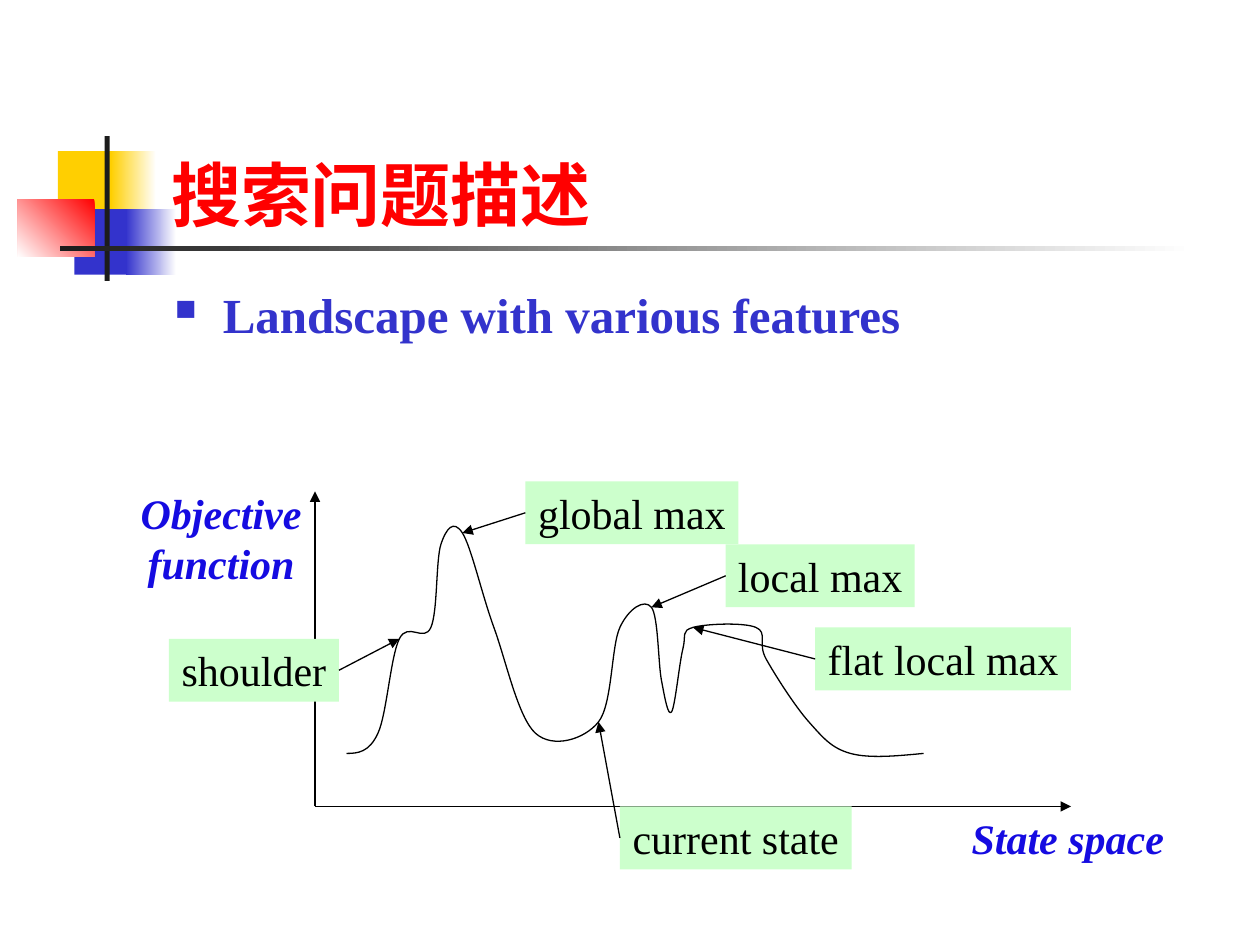
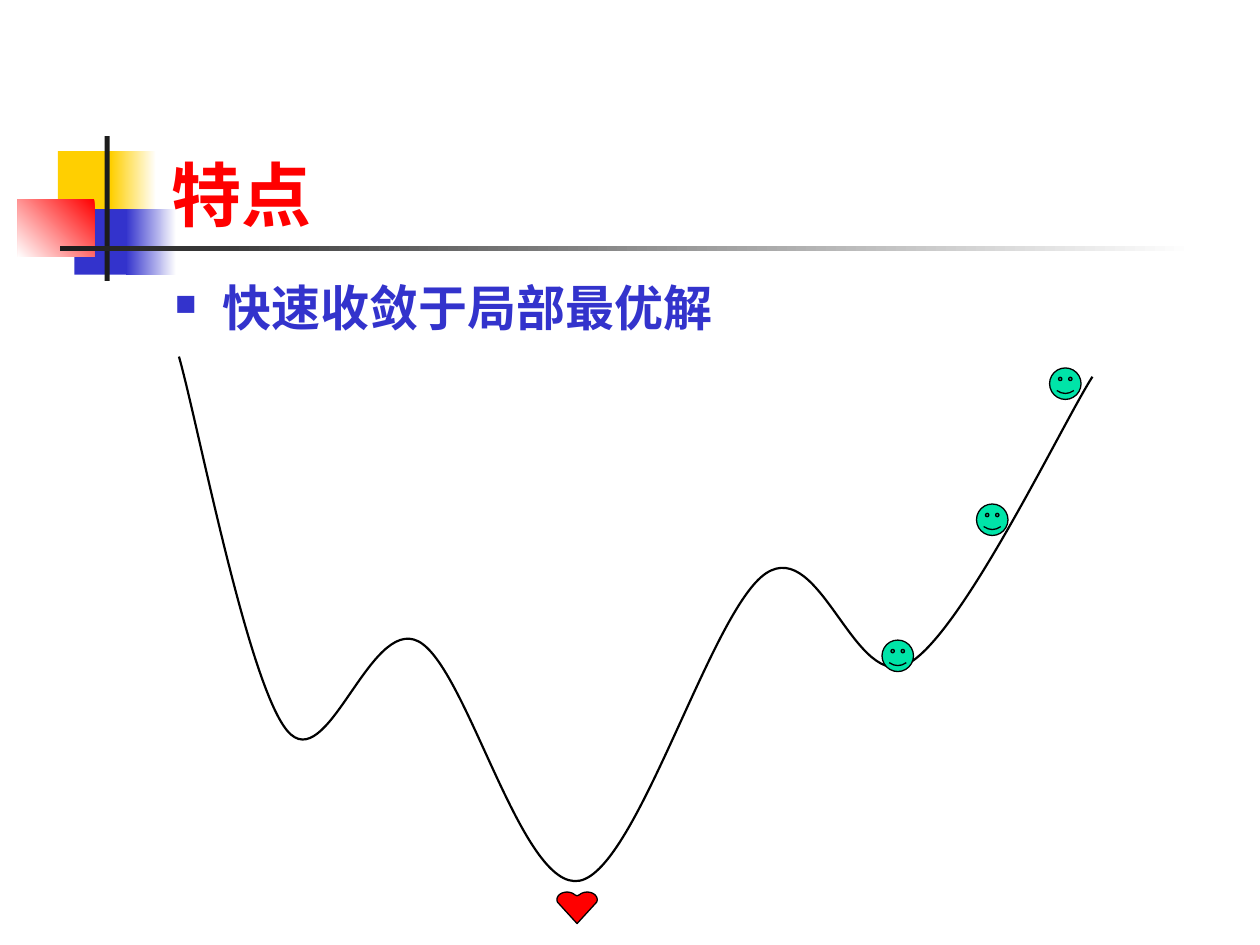
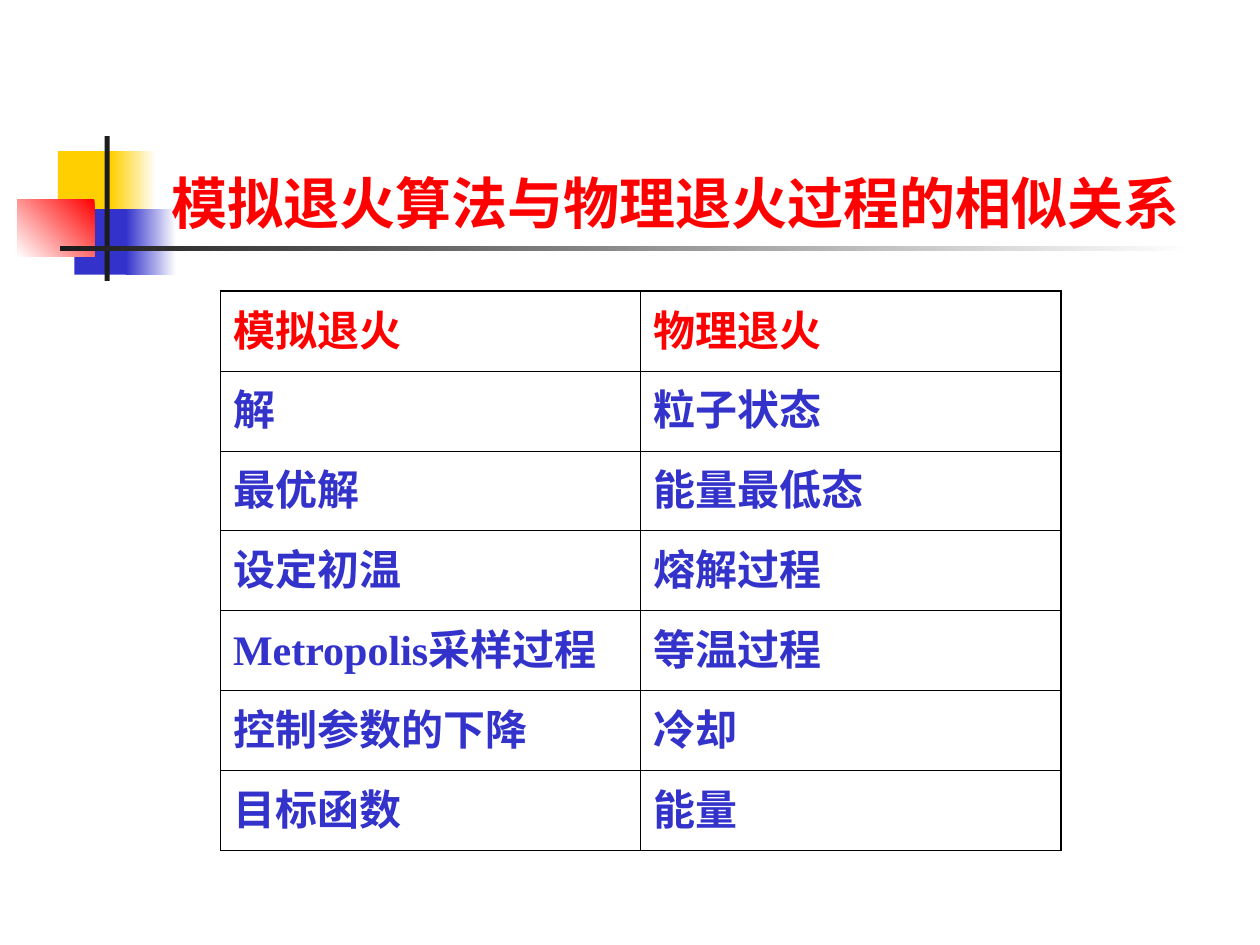
from dataclasses import dataclass
from math import cos, radians, sin

from lxml.etree import SubElement
from pptx import Presentation
from pptx.dml.color import RGBColor
from pptx.enum.shapes import MSO_CONNECTOR, MSO_SHAPE
from pptx.enum.text import MSO_ANCHOR, MSO_AUTO_SIZE, PP_ALIGN
from pptx.oxml.ns import qn
from pptx.shapes.autoshape import Shape
from pptx.shapes.connector import Connector
from pptx.slide import Slide
from pptx.table import _Cell
from pptx.text.text import _Paragraph
from pptx.util import Inches, Pt

Point = tuple[float, float]


@dataclass(frozen=True)
class Theme:
    red: str = "FF0000"
    blue: str = "3333CC"
    axis_blue: str = "150BE1"
    yellow: str = "FFCF01"
    green: str = "CCFFCC"
    face: str = "00E4A8"
    ink: str = "1C1C1C"
    black: str = "000000"
    white: str = "FFFFFF"
    title_font: str = "Karla"
    body_font: str = "Times New Roman"
    title_size: float = 40
    long_title_size: float = 32
    bullet_size: float = 28
    label_size: float = 24
    thin: float = 0.75
    curve: float = 1.25
    outer_border: float = 1.08
    inner_border: float = 0.45


THEME = Theme()


@dataclass(frozen=True)
class Box:
    left: float
    top: float
    width: float
    height: float

    def lengths(self) -> list[int]:
        return [Inches(n) for n in (self.left, self.top, self.width, self.height)]


@dataclass(frozen=True)
class Block:
    """A rectangle of the title ornament; a second colour makes a gradient."""
    box: Box
    color: str
    end_color: str | None = None
    angle: float = 180


@dataclass(frozen=True)
class Label:
    text: str
    box: Box
    side: int
    target: Point


@dataclass(frozen=True)
class Style:
    size: float
    color: str
    font: str = THEME.body_font
    bold: bool = False
    italic: bool = False
    bullet: bool = False
    spacing: float = 1.0


ORNAMENT = [
    Block(Box(0.46, 1.2, 0.48, 0.52), THEME.yellow),
    Block(Box(0.88, 1.2, 0.36, 0.52), THEME.white, THEME.yellow),
    Block(Box(0.59, 1.66, 0.46, 0.52), THEME.blue),
    Block(Box(1, 1.66, 0.4, 0.52), THEME.white, THEME.blue),
    Block(Box(0.14, 1.58, 0.61, 0.46), THEME.red, THEME.white, 225),
    Block(Box(0.83, 1.08, 0.04, 1.15), THEME.ink),
    Block(Box(0.48, 1.95, 9, 0.04), THEME.white, THEME.ink),
]
TITLE_BOX = Box(1.26, 0.67, 8.52, 1.25)
BULLET_BOX = Box(1.29, 2.21, 8.5, 0.6)

LABEL_STYLE = Style(THEME.label_size, THEME.black)
AXIS_STYLE = Style(THEME.label_size, THEME.axis_blue, bold=True, italic=True)

AXIS_ORIGIN = (2.5, 6.4)
AXIS_ENDS = [(2.5, 3.9), (8.5, 6.4)]
AXIS_NAMES = [
    (["Objective", "function"], Box(1.02, 3.82, 1.47, 0.9)),
    (["State space"], Box(7.61, 6.4, 1.73, 0.5)),
]
LANDSCAPE = [
    (2.75, 5.98), (3, 5.82), (3.17, 5.07), (3.42, 4.98), (3.5, 4.32), (3.67, 4.23),
    (3.92, 4.98), (4.25, 5.82), (4.75, 5.73), (4.92, 4.98), (5.17, 4.82), (5.25, 5.4),
    (5.33, 5.65), (5.42, 5.15), (5.5, 4.98), (6, 4.98), (6.08, 5.23), (6.42, 5.73),
    (6.75, 5.98), (7.33, 5.98),
]
LANDSCAPE_LEAD_IN, LANDSCAPE_LEAD_OUT = (2.46, 5.82), (8.01, 5.86)
LEFT, RIGHT = 1, 3
LABELS = [
    Label("shoulder", Box(1.34, 5.07, 1.35, 0.5), RIGHT, (3.17, 5.07)),
    Label("global max", Box(4.17, 3.82, 1.69, 0.5), LEFT, (3.67, 4.23)),
    Label("local max", Box(5.76, 4.32, 1.5, 0.5), LEFT, (5.17, 4.82)),
    Label("flat local max", Box(6.47, 4.98, 2.03, 0.5), LEFT, (5.5, 4.98)),
    Label("current state", Box(4.92, 6.4, 1.84, 0.5), LEFT, (4.75, 5.73)),
]

VALLEYS = [(1.42, 2.83), (2.28, 5.8), (3.32, 5.09), (4.6, 6.99), (6.08, 4.55),
           (7.22, 5.26), (8.67, 2.99)]
FACES = [(7, 5.08), (7.75, 4), (8.33, 2.92)]
FACE_SIZE = 0.25

ANALOGY = [
    ("模拟退火", "物理退火"),
    ("解", "粒子状态"),
    ("最优解", "能量最低态"),
    ("设定初温", "熔解过程"),
    ("Metropolis采样过程", "等温过程"),
    ("控制参数的下降", "冷却"),
    ("目标函数", "能量"),
]
ANALOGY_BOX = Box(1.75, 2.31, 6.67, 4.44)


# Shared drawing helpers
def rgb(color: str) -> RGBColor:
    return RGBColor.from_string(color)


def paint(shape: Shape, fill: str | None, line: str | None = None,
          width: float = THEME.thin) -> None:
    shape.shadow.inherit = False
    if fill:
        shape.fill.solid()
        shape.fill.fore_color.rgb = rgb(fill)
    else:
        shape.fill.background()
    if line:
        shape.line.color.rgb = rgb(line)
        shape.line.width = Pt(width)
    else:
        shape.line.fill.background()


def set_bullet(para: _Paragraph, color: str) -> None:
    properties = para._p.get_or_add_pPr()
    properties.set("marL", str(Inches(0.38)))
    properties.set("indent", str(Inches(-0.38)))
    SubElement(SubElement(properties, qn("a:buClr")), qn("a:srgbClr"), val=color)
    SubElement(properties, qn("a:buSzPct"), val="60000")
    SubElement(properties, qn("a:buChar"), char="■")


def write(shape: Shape | _Cell, lines: list[str], style: Style,
          align: PP_ALIGN = PP_ALIGN.LEFT) -> None:
    frame = shape.text_frame
    frame.text = "\n".join(lines)
    for para in frame.paragraphs:
        para.alignment = align
        para.line_spacing = style.spacing
        if style.bullet:
            set_bullet(para, style.color)
        para.font.name = style.font
        para.font.size = Pt(style.size)
        para.font.bold = style.bold
        para.font.italic = style.italic
        para.font.color.rgb = rgb(style.color)


def add_centred_text(page: Slide, lines: list[str], box: Box, style: Style,
                     fill: str | None = None) -> Shape:
    shape = page.shapes.add_shape(MSO_SHAPE.RECTANGLE, *box.lengths())
    paint(shape, fill)
    write(shape, lines, style, PP_ALIGN.CENTER)
    frame = shape.text_frame
    frame.margin_left = frame.margin_right = Inches(0.05)
    frame.word_wrap = False
    frame.auto_size = MSO_AUTO_SIZE.NONE
    frame.vertical_anchor = MSO_ANCHOR.TOP
    return shape


def add_arrow(page: Slide, start: Point, end: Point) -> Connector:
    arrow = page.shapes.add_connector(
        MSO_CONNECTOR.STRAIGHT, *[Inches(n) for n in (*start, *end)])
    arrow.line.color.rgb = rgb(THEME.black)
    arrow.line.width = Pt(THEME.thin)
    properties = arrow.element.spPr
    SubElement(properties.find(qn("a:ln")), qn("a:tailEnd"), type="triangle")
    SubElement(properties, qn("a:effectLst"))
    return arrow


def add_outline(page: Slide, points: list[Point], close: bool = False) -> Shape:
    start, *rest = [(Inches(x), Inches(y)) for x, y in points]
    builder = page.shapes.build_freeform(*start)
    builder.add_line_segments(rest, close=close)
    return builder.convert_to_shape()


def add_curve(page: Slide, knots: list[Point], width: float,
              lead_in: Point | None = None, lead_out: Point | None = None) -> None:
    """Draw a smooth curve whose tangent at a knot follows its two neighbours."""
    track = [lead_in or knots[0], *knots, lead_out or knots[-1]]
    points = [knots[0]]
    for before, start, end, after in zip(track, track[1:], track[2:], track[3:]):
        points += [
            (start[0] + (end[0] - before[0]) / 6, start[1] + (end[1] - before[1]) / 6),
            (end[0] - (after[0] - start[0]) / 6, end[1] - (after[1] - start[1]) / 6),
            end,
        ]
    curve = add_outline(page, points)
    paint(curve, None, THEME.black, width)
    # Turn every three straight segments into one cubic segment
    outline = curve.element.xpath(".//a:path")[0]
    segments = outline.findall(qn("a:lnTo"))
    for index in range(0, len(segments), 3):
        cubic = SubElement(outline, qn("a:cubicBezTo"))
        for segment in segments[index:index + 3]:
            cubic.append(segment[0])
            outline.remove(segment)


# Parts shared by the pages
def add_page(deck: Presentation, title: str, size: float = THEME.title_size) -> Slide:
    page = deck.slides.add_slide(deck.slide_layouts[6])
    for block in ORNAMENT:
        shape = page.shapes.add_shape(MSO_SHAPE.RECTANGLE, *block.box.lengths())
        paint(shape, block.color)
        if block.end_color:
            shape.fill.gradient()
            shape.fill.gradient_angle = block.angle
            for stop, color in zip(shape.fill.gradient_stops, (block.color, block.end_color)):
                stop.color.rgb = rgb(color)
    heading = page.shapes.add_textbox(*TITLE_BOX.lengths())
    heading.text_frame.word_wrap = True
    heading.text_frame.vertical_anchor = MSO_ANCHOR.BOTTOM
    write(heading, [title], Style(size, THEME.red, THEME.title_font, bold=True))
    return page


def add_bullet(page: Slide, text: str, spacing: float = 1.0) -> None:
    shape = page.shapes.add_textbox(*BULLET_BOX.lengths())
    shape.text_frame.word_wrap = True
    write(shape, [text], Style(THEME.bullet_size, THEME.blue, bold=True,
                               bullet=True, spacing=spacing))


# Pages
def add_landscape_page(deck: Presentation) -> None:
    page = add_page(deck, "搜索问题描述")
    add_bullet(page, "Landscape with various features")
    for end in AXIS_ENDS:
        add_arrow(page, AXIS_ORIGIN, end)
    add_curve(page, LANDSCAPE, THEME.thin, LANDSCAPE_LEAD_IN, LANDSCAPE_LEAD_OUT)
    for lines, box in AXIS_NAMES:
        add_centred_text(page, lines, box, AXIS_STYLE)
    for label in LABELS:
        shape = add_centred_text(page, [label.text], label.box, LABEL_STYLE, THEME.green)
        arrow = add_arrow(page, (label.box.left, label.box.top), label.target)
        arrow.begin_connect(shape, label.side)


def heart_points(center: float = 4.58, top: float = 7.08) -> list[Point]:
    """Two mirrored round lobes above a point."""
    lobe = [(-0.08 + 0.08 * cos(radians(turn)), 0.06 - 0.06 * sin(radians(turn)))
            for turn in range(200, 30, -10)]
    half = [(0, 0.25), *lobe, (0, 0.03)]
    mirrored = [(-x, y) for x, y in reversed(lobe)]
    return [(center + x, top + y) for x, y in half + mirrored]


def add_valley_page(deck: Presentation) -> None:
    page = add_page(deck, "特点")
    add_bullet(page, "快速收敛于局部最优解", 0.9)
    add_curve(page, VALLEYS, THEME.curve)
    paint(add_outline(page, heart_points(), close=True), THEME.red, THEME.black)
    for left, top in FACES:
        box = Box(left, top, FACE_SIZE, FACE_SIZE)
        face = page.shapes.add_shape(MSO_SHAPE.SMILEY_FACE, *box.lengths())
        paint(face, THEME.face, THEME.black)


def add_border(cell: _Cell, side: str, width: float) -> None:
    border = SubElement(cell._tc.get_or_add_tcPr(), qn(f"a:ln{side}"), w=str(Pt(width)))
    SubElement(SubElement(border, qn("a:solidFill")), qn("a:srgbClr"), val=THEME.black)


def add_analogy_page(deck: Presentation) -> None:
    page = add_page(deck, "模拟退火算法与物理退火过程的相似关系", THEME.long_title_size)
    rows, columns = len(ANALOGY), len(ANALOGY[0])
    table = page.shapes.add_table(rows, columns, *ANALOGY_BOX.lengths()).table
    table.first_row = table.horz_banding = False
    for row, texts in enumerate(ANALOGY):
        color = THEME.blue if row else THEME.red
        for column, text in enumerate(texts):
            cell = table.cell(row, column)
            outer_sides = {"L": column == 0, "R": column == columns - 1,
                           "T": row == 0, "B": row == rows - 1}
            for side, is_outer in outer_sides.items():
                add_border(cell, side, THEME.outer_border if is_outer else THEME.inner_border)
            cell.fill.background()
            write(cell, [text], Style(THEME.label_size, color, bold=True))


def main() -> None:
    deck = Presentation()
    deck.slide_width, deck.slide_height = Inches(10), Inches(7.5)
    add_landscape_page(deck)
    add_valley_page(deck)
    add_analogy_page(deck)
    deck.save("out.pptx")


if __name__ == "__main__":
    main()
